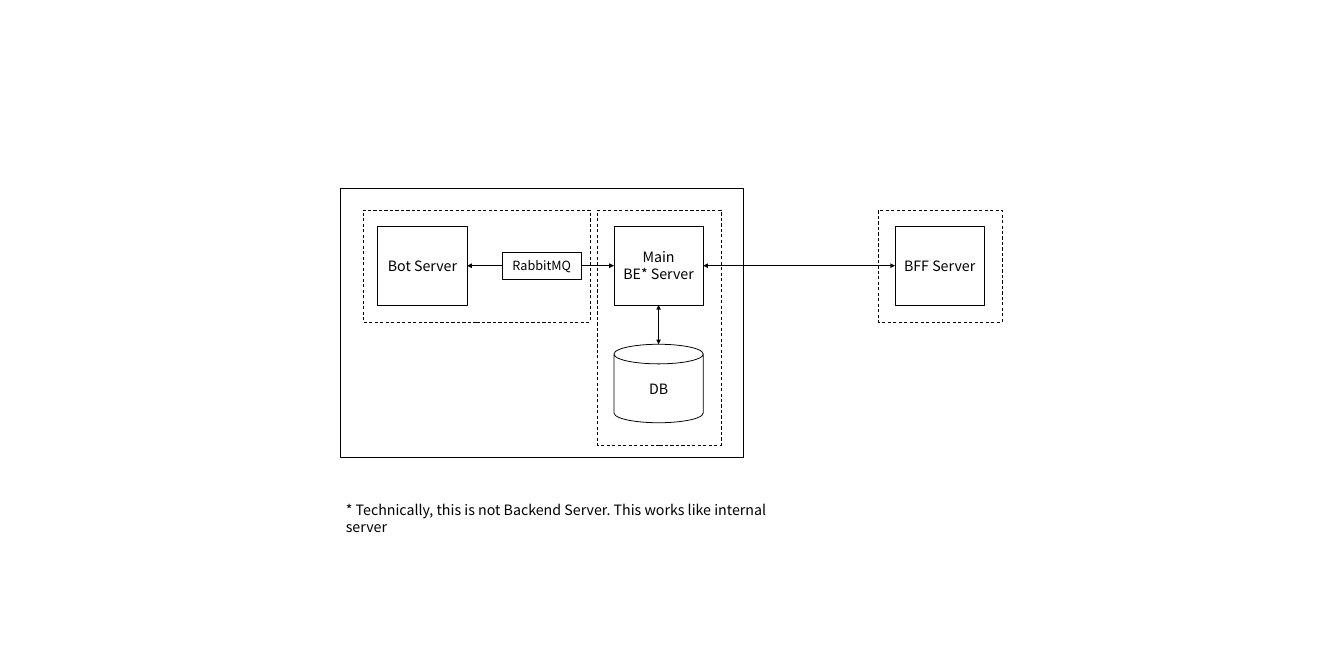
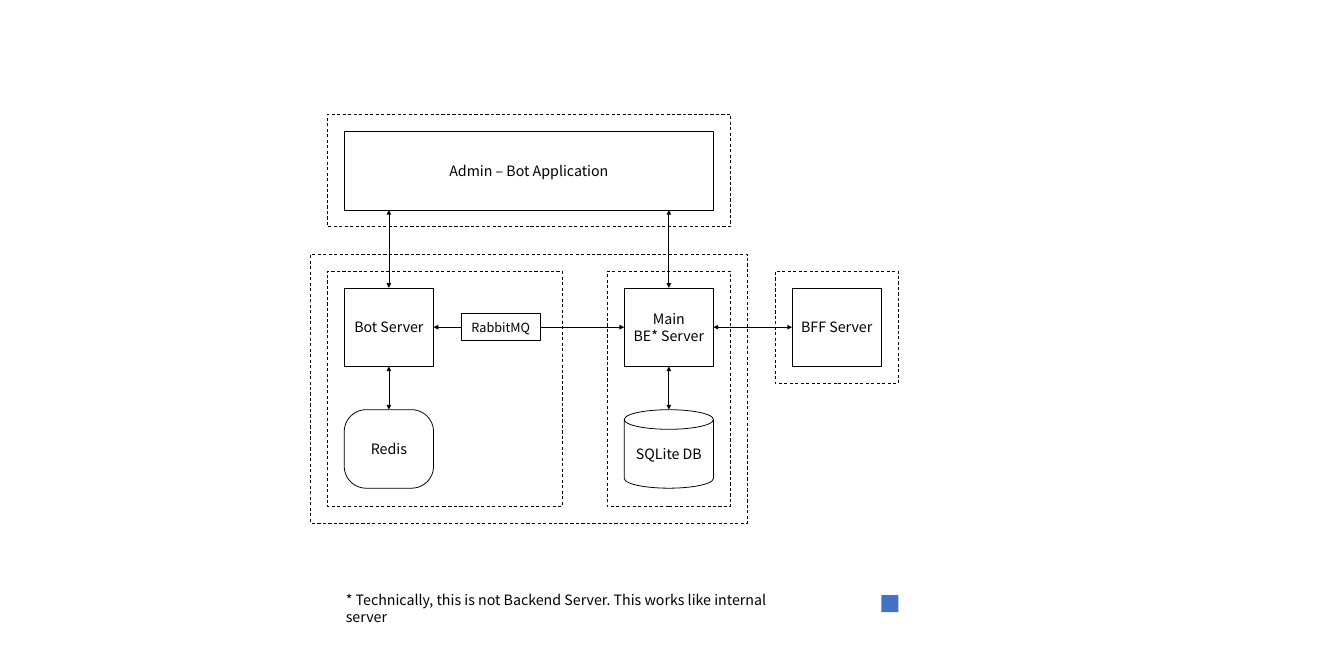
from pptx import Presentation
from pptx.dml.color import RGBColor
from pptx.enum.dml import MSO_LINE
from pptx.enum.shapes import MSO_CONNECTOR, MSO_SHAPE as Shape
from pptx.enum.text import MSO_ANCHOR, MSO_AUTO_SIZE, PP_ALIGN
from pptx.oxml.ns import qn
from pptx.util import Inches, Pt
from lxml import etree

BLACK = RGBColor(0x00, 0x00, 0x00)
WHITE = RGBColor(0xFF, 0xFF, 0xFF)
BLUE = RGBColor(0x44, 0x72, 0xC4)

NODE_W, NODE_H = 1.57, 1.38
QUEUE_W, QUEUE_H = 1.38, 0.47
FOOTNOTE = "* Technically, this is not Backend Server. This works like internal server"


def add_box(slide, kind, box, fill=None, line=BLACK, dashed=False):
    shape = slide.shapes.add_shape(kind, *[Inches(v) for v in box])
    shape.shadow.inherit = False
    if fill is None:
        shape.fill.background()
    else:
        shape.fill.solid()
        shape.fill.fore_color.rgb = fill
    if line is None:
        shape.line.fill.background()
    else:
        shape.line.color.rgb = line
        shape.line.width = Pt(1)
    if dashed:
        shape.line.dash_style = MSO_LINE.DASH
    return shape


def write(shape, text, font, size=18, align=PP_ALIGN.CENTER):
    paragraph = shape.text_frame.paragraphs[0]
    paragraph.alignment = align
    for index, words in enumerate(text.split("\n")):
        if index:
            paragraph.add_line_break()
        run = paragraph.add_run()
        run.text = words
        run.font.name = font
        run.font.size = Pt(size)
        run.font.color.rgb = BLACK


# Each diagram: columns of servers, row tops, frames and what differs
first = {
    "font": "Noto Sans CJK SC",
    "bot": 6.64, "main": 10.79, "bff": 15.73,
    "servers": 3.98, "stores": 6.05,
    "queue": 8.83, "footnote": 8.76,
    "system": (5.98, 3.31, 7.09, 4.72), "system_dashed": False,
    "frames": [(6.38, 3.69, 3.99, 1.97), (10.5, 3.69, 2.17, 4.13),
               (15.44, 3.69, 2.17, 1.97)],
    "database": "DB", "has_admin": False,
}
second = {
    "font": "Noto Sans CJK KR",
    "bot": 6.05, "main": 10.97, "bff": 13.92,
    "servers": 5.06, "stores": 7.2,
    "queue": 8.11, "footnote": 10.34,
    "system": (5.46, 4.47, 7.68, 4.72), "system_dashed": True,
    "frames": [(5.75, 4.77, 4.13, 4.13), (10.67, 4.77, 2.17, 4.13),
               (13.62, 4.77, 2.17, 1.97), (5.75, 2.01, 7.09, 1.97)],
    "database": "SQLite DB", "has_admin": True,
}
ADMIN_TOP = 2.31

prs = Presentation()
prs.slide_width = Inches(23.62)
prs.slide_height = Inches(11.81)

for diagram in (first, second):
    slide = prs.slides.add_slide(prs.slide_layouts[6])
    font = diagram["font"]
    bot, main, bff = diagram["bot"], diagram["main"], diagram["bff"]
    servers, stores = diagram["servers"], diagram["stores"]
    server_mid = servers + NODE_H / 2
    bot_mid, main_mid = bot + NODE_W / 2, main + NODE_W / 2

    # System border and dashed frames
    add_box(slide, Shape.RECTANGLE, diagram["system"], WHITE,
            dashed=diagram["system_dashed"])
    for frame in diagram["frames"]:
        add_box(slide, Shape.RECTANGLE, frame, dashed=True)

    # Servers, stores and the admin application
    nodes = [
        (Shape.RECTANGLE, bot, servers, NODE_W, "Bot Server"),
        (Shape.RECTANGLE, main, servers, NODE_W, "Main\nBE* Server"),
        (Shape.RECTANGLE, bff, servers, NODE_W, "BFF Server"),
        (Shape.CAN, main, stores, NODE_W, diagram["database"]),
    ]
    arrows = [
        (bot + NODE_W, server_mid, main, server_mid),
        (main + NODE_W, server_mid, bff, server_mid),
        (main_mid, servers + NODE_H, main_mid, stores),
    ]
    if diagram["has_admin"]:
        nodes += [
            (Shape.ROUNDED_RECTANGLE, bot, stores, NODE_W, "Redis"),
            (Shape.RECTANGLE, bot, ADMIN_TOP, main + NODE_W - bot,
             "Admin – Bot Application"),
        ]
        arrows += [
            (bot_mid, servers + NODE_H, bot_mid, stores),
            (bot_mid, ADMIN_TOP + NODE_H, bot_mid, servers),
            (main_mid, ADMIN_TOP + NODE_H, main_mid, servers),
        ]
    for kind, left, top, width, label in nodes:
        node = add_box(slide, kind, (left, top, width, NODE_H), WHITE)
        if kind == Shape.ROUNDED_RECTANGLE:
            node.adjustments[0] = 0.28
        write(node, label, font)

    # Two-way arrows
    for ends in arrows:
        arrow = slide.shapes.add_connector(
            MSO_CONNECTOR.STRAIGHT, *[Inches(v) for v in ends])
        arrow.line.color.rgb = BLACK
        arrow.line.width = Pt(1)
        outline = arrow.line._get_or_add_ln()
        for tag in ("a:headEnd", "a:tailEnd"):
            etree.SubElement(outline, qn(tag), type="triangle")
        etree.SubElement(arrow._element.spPr, qn("a:effectLst"))

    # Message queue, on top of its arrow
    queue = add_box(slide, Shape.RECTANGLE,
                    (diagram["queue"], server_mid - QUEUE_H / 2,
                     QUEUE_W, QUEUE_H), WHITE)
    write(queue, "RabbitMQ", font, 16)

    # Footnote
    footnote = slide.shapes.add_textbox(
        Inches(5.98), Inches(diagram["footnote"]), Inches(8.2), Inches(1.13))
    footnote.text_frame.word_wrap = True
    footnote.text_frame.auto_size = MSO_AUTO_SIZE.SHAPE_TO_FIT_TEXT
    footnote.text_frame.vertical_anchor = MSO_ANCHOR.TOP
    write(footnote, FOOTNOTE, font, align=PP_ALIGN.LEFT)

    # Blue marker beside the footnote
    if diagram["has_admin"]:
        add_box(slide, Shape.RECTANGLE, (15.49, 10.46, 0.3, 0.3), BLUE, None)

prs.save("out.pptx")
